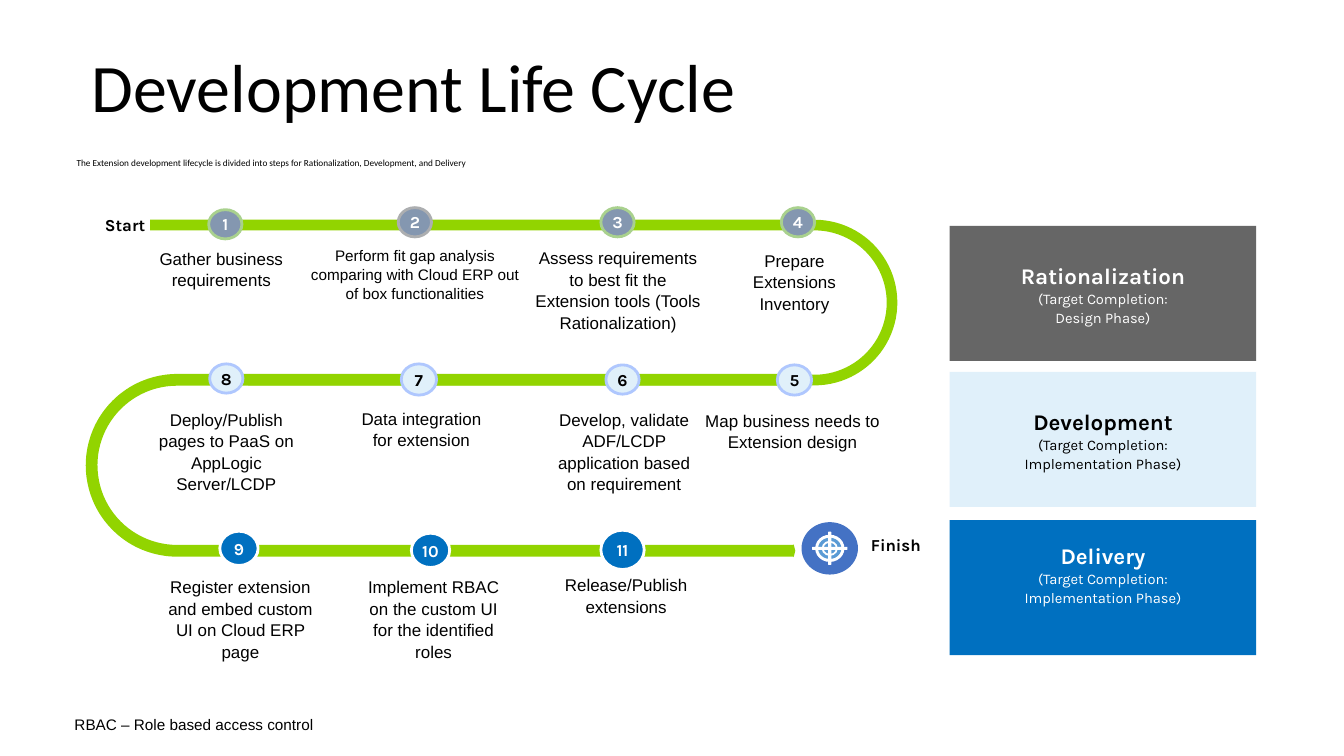
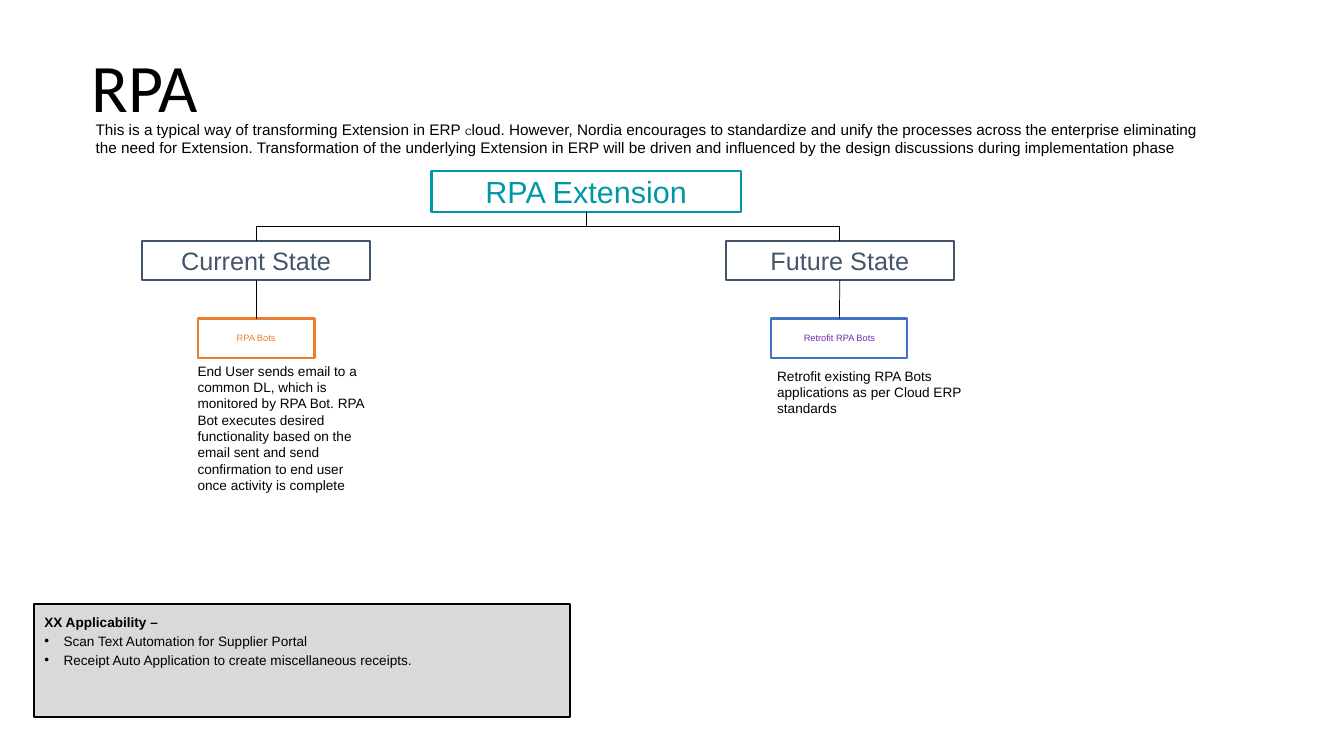
from dataclasses import dataclass, replace

import pptx
import pptx.util
from lxml import etree
from pptx.dml.color import RGBColor
from pptx.enum.shapes import MSO_CONNECTOR, MSO_SHAPE
from pptx.enum.text import MSO_ANCHOR, MSO_AUTO_SIZE, PP_ALIGN
from pptx.oxml.ns import qn
from pptx.util import Inches, Pt


@dataclass(frozen=True)
class TextStyle:
    font: str
    size: float
    color: str = "000000"
    bold: bool = False


class Theme:
    black, white, gray = "000000", "FFFFFF", "D9D9D9"
    road, pale, blue, dark = "92D400", "E0F0FA", "0070C0", "666666"
    slate, green, silver, lilac = "8497B0", "A9D18E", "ACAEB0", "AFC7FE"
    target, rings = "4472C4", "5B9BD5"
    teal, navy, orange, purple = "0097A9", "44546A", "ED7D31", "762BB3"
    title = TextStyle("Calibri", 48.5)
    subtitle = TextStyle("Calibri", 6.6)
    step = TextStyle("Arial", 12.1)
    body = TextStyle("Arial", 10.9)
    small = TextStyle("Arial", 9.7)
    label = TextStyle("Karla", 12, bold=True)
    panel = TextStyle("Karla", 16, bold=True)
    panel_detail = TextStyle("Karla", 10.5)
    root, state, leaf = 21.8, 18, 6.6


class Deck:
    def __init__(self):
        self.presentation = pptx.Presentation()
        self.presentation.slide_width = Inches(13.33)
        self.presentation.slide_height = Inches(7.5)
        self.slide = None

    def add_slide(self, title, width):
        layout = self.presentation.slide_layouts[1]
        self.slide = self.presentation.slides.add_slide(layout)
        shape = self.slide.shapes.title
        self.place(shape, (0.91, 0.44, width, 0.85))
        self.set_text(shape, [(title, Theme.title)], inset=(0, 0, 0, 0))

    def place(self, shape, box):
        shape.left, shape.top, shape.width, shape.height = map(Inches, box)

    def set_text(self, shape, lines, align=PP_ALIGN.LEFT, inset=(0.1, 0.05, 0.1, 0.05),
                 anchor=MSO_ANCHOR.TOP, spacing=1.0, gap=0, bullets_from=None, wrap=True):
        """Fill a shape with (text, style) paragraphs; inset is left, top, right, bottom."""
        frame = shape.text_frame
        frame.auto_size = MSO_AUTO_SIZE.NONE
        frame.word_wrap = wrap
        frame.vertical_anchor = anchor
        (frame.margin_left, frame.margin_top,
         frame.margin_right, frame.margin_bottom) = map(Inches, inset)
        for index, (text, style) in enumerate(lines):
            paragraph = frame.add_paragraph() if index else frame.paragraphs[0]
            paragraph.add_run().text = text
            if shape.is_placeholder:
                bulleted = bullets_from is not None and index >= bullets_from
                self.set_bullet(paragraph, bulleted)
            paragraph.alignment = align
            paragraph.line_spacing = spacing
            paragraph.space_before = Pt(gap if index else 0)
            paragraph.font.name = style.font
            paragraph.font.size = Pt(style.size)
            paragraph.font.bold = style.bold
            paragraph.font.color.rgb = RGBColor.from_string(style.color)

    def set_bullet(self, paragraph, bulleted):
        properties = paragraph._p.get_or_add_pPr()
        indent = Inches(0.19) if bulleted else 0
        properties.set("marL", str(indent))
        properties.set("indent", str(-indent))
        if bulleted:
            etree.SubElement(properties, qn("a:buChar")).set("char", "•")
        else:
            etree.SubElement(properties, qn("a:buNone"))

    def body(self, box, lines, **options):
        shape = self.slide.placeholders[1]
        self.place(shape, box)
        self.set_text(shape, lines, **options)
        return shape

    def text(self, box, text, style, **options):
        shape = self.slide.shapes.add_textbox(*map(Inches, box))
        self.set_text(shape, [(line, style) for line in text.split("\n")], **options)
        return shape

    def paint(self, shape, fill=None, line=None, width=1.5):
        if fill:
            shape.fill.solid()
            shape.fill.fore_color.rgb = RGBColor.from_string(fill)
        else:
            shape.fill.background()
        if line:
            shape.line.color.rgb = RGBColor.from_string(line)
            shape.line.width = Pt(width)
        else:
            shape.line.fill.background()

    def shape(self, kind, box, fill=None, line=None, width=1.5):
        shape = self.slide.shapes.add_shape(kind, *map(Inches, box))
        shape.shadow.inherit = False
        self.paint(shape, fill, line, width)
        return shape

    def road_bend(self, box, rotation, reach, flipped=False):
        """Draw one U-shaped stretch of the road."""
        bend = self.shape(MSO_SHAPE.U_TURN_ARROW, box, Theme.road)
        for index, value in enumerate((0.064, 0.036, 0.009, 0.498, reach)):
            bend.adjustments[index] = value
        bend.rotation = rotation
        if flipped:
            bend._element.spPr.find(qn("a:xfrm")).set("flipH", "1")

    def step(self, number, marker, colors, caption, box, style=Theme.step):
        fill, line, color = colors
        circle = self.shape(MSO_SHAPE.OVAL, marker, fill, line, 2)
        self.set_text(circle, [(str(number), replace(Theme.label, color=color))],
                      align=PP_ALIGN.CENTER, anchor=MSO_ANCHOR.MIDDLE,
                      inset=(0, 0, 0, 0), wrap=False)
        self.text(box, caption, style, align=PP_ALIGN.CENTER, spacing=1.06)

    def panel(self, top, heading, phase, fill, color, bottom=0.1):
        shape = self.shape(MSO_SHAPE.RECTANGLE, (9.42, top, 3.04, 1.34), fill)
        heading_style = replace(Theme.panel, color=color)
        detail_style = replace(Theme.panel_detail, color=color)
        self.set_text(shape, [(heading, heading_style),
                              ("(Target Completion:", detail_style),
                              (phase, detail_style)],
                      align=PP_ALIGN.CENTER, anchor=MSO_ANCHOR.MIDDLE,
                      inset=(0.1, 0.1, 0.1, bottom), spacing=1.06)

    def target(self, x, y):
        """Draw a crosshair target centred at x, y."""
        white, rings = Theme.white, Theme.rings
        layers = [(MSO_SHAPE.OVAL, 0.56, 0.52, Theme.target),
                  (MSO_SHAPE.OVAL, 0.29, 0.27, white),
                  (MSO_SHAPE.OVAL, 0.23, 0.21, rings),
                  (MSO_SHAPE.OVAL, 0.16, 0.15, white),
                  (MSO_SHAPE.OVAL, 0.12, 0.11, rings),
                  (MSO_SHAPE.ROUNDED_RECTANGLE, 0.35, 0.03, white),
                  (MSO_SHAPE.ROUNDED_RECTANGLE, 0.03, 0.33, white)]
        for kind, width, height, fill in layers:
            self.shape(kind, (x - width / 2, y - height / 2, width, height), fill)

    def node(self, box, text, size, line, color=None):
        shape = self.shape(MSO_SHAPE.RECTANGLE, box, line=line)
        self.set_text(shape, [(text, TextStyle("Arial", size, color or line))],
                      align=PP_ALIGN.CENTER, anchor=MSO_ANCHOR.MIDDLE,
                      inset=(0.1, 0.1, 0.1, 0.1))
        return shape

    def connect(self, parent, child, kind=MSO_CONNECTOR.STRAIGHT):
        """Join the bottom of parent to the top of child."""
        connector = self.slide.shapes.add_connector(kind, 0, 0, 0, 0)
        connector.begin_connect(parent, 2)
        connector.end_connect(child, 0)
        connector.line.color.rgb = RGBColor.from_string(Theme.black)
        connector.line.width = Pt(0.5)
        etree.SubElement(connector._element.spPr, qn("a:effectLst"))
        if kind == MSO_CONNECTOR.ELBOW:
            self.turn_downward(connector)

    def turn_downward(self, connector):
        """Rotate an elbow so that it leaves and arrives vertically."""
        across = connector.end_x - connector.begin_x
        drop = connector.end_y - connector.begin_y
        left = (connector.begin_x + connector.end_x - drop) // 2
        top = (connector.begin_y + connector.end_y - abs(across)) // 2
        frame = connector._element.spPr.find(qn("a:xfrm"))
        for name in ("flipH", "flipV"):
            frame.attrib.pop(name, None)
        connector.left, connector.top = left, top
        connector.width, connector.height = drop, abs(across)
        frame.set("rot", str((90 if across < 0 else 270) * 60000))
        if across > 0:
            frame.set("flipH", "1")


def build_life_cycle(deck):
    deck.add_slide("Development Life Cycle", 10.81)
    deck.body((0.66, 1.51, 12.12, 0.23), [(
        "The Extension development lifecycle is divided into steps for "
        "Rationalization, Development, and Delivery", Theme.subtitle)])
    deck.text((0.52, 2.08, 1.02, 0.3), "Start", Theme.label, align=PP_ALIGN.RIGHT)
    deck.road_bend((3.48, 1.08, 1.82, 7.08), 270, 0.994, flipped=True)
    deck.road_bend((4.37, -0.7, 1.65, 7.41), 90, 0.87)

    rationalize = (Theme.slate, Theme.green, Theme.white)
    analyze = (Theme.slate, Theme.silver, Theme.white)
    develop = (Theme.pale, Theme.lilac, Theme.black)
    deliver = (Theme.blue, Theme.white, Theme.white)
    steps = [
        ((2.07, 2.08, 0.33, 0.29), rationalize,
         "Gather business\nrequirements", (1.07, 2.4, 2.25, 0.52)),
        ((3.95, 2.06, 0.33, 0.29), analyze,
         "Perform fit gap analysis comparing with Cloud ERP out of box functionalities",
         (2.94, 2.38, 2.35, 0.67), Theme.body),
        ((5.96, 2.06, 0.33, 0.29), rationalize,
         "Assess requirements to best fit the Extension tools (Tools Rationalization)",
         (5.21, 2.4, 1.84, 1.17)),
        ((7.75, 2.06, 0.33, 0.29), rationalize,
         "Prepare Extensions Inventory", (7.11, 2.42, 1.54, 0.73)),
        ((7.71, 3.62, 0.34, 0.3), develop,
         "Map business needs to Extension design", (6.75, 4.01, 2.22, 0.52)),
        ((6.01, 3.62, 0.33, 0.29), develop,
         "Develop, validate ADF/LCDP application based on requirement",
         (5.35, 4, 1.68, 0.95)),
        ((3.98, 3.61, 0.35, 0.31), develop,
         "Data integration for extension", (3.43, 3.99, 1.5, 0.52)),
        ((2.08, 3.61, 0.33, 0.29), develop,
         "Deploy/Publish pages to PaaS on AppLogic Server/LCDP", (1.4, 4, 1.69, 0.95)),
        ((2.18, 5.27, 0.38, 0.34), deliver,
         "Register extension and embed custom UI on Cloud ERP page",
         (1.53, 5.66, 1.71, 0.95)),
        ((4.08, 5.29, 0.38, 0.34), deliver,
         "Implement RBAC on the custom UI for the identified roles",
         (3.49, 5.66, 1.62, 0.95)),
        ((5.96, 5.26, 0.43, 0.39), deliver,
         "Release/Publish extensions", (5.42, 5.64, 1.58, 0.52)),
    ]
    for number, step in enumerate(steps, 1):
        deck.step(number, *step)
    deck.target(8.23, 5.44)
    deck.text((8.34, 5.26, 1.09, 0.3), "Finish", Theme.label, align=PP_ALIGN.CENTER)

    deck.panel(2.24, "Rationalization", "Design Phase)", Theme.dark, Theme.white)
    deck.panel(3.69, "Development", "Implementation Phase)", Theme.pale, Theme.black)
    deck.panel(5.16, "Delivery", "Implementation Phase)", Theme.blue, Theme.white, 0.38)
    deck.text((0.64, 7.05, 6.68, 0.28), "RBAC – Role based access control", Theme.body)


def build_rpa(deck):
    deck.add_slide("RPA", 11.32)
    root = deck.node((4.28, 1.7, 3.07, 0.4), "RPA Extension", Theme.root, Theme.teal)
    current = deck.node((1.41, 2.39, 2.26, 0.39), "Current State", Theme.state, Theme.navy)
    future = deck.node((7.2, 2.39, 2.26, 0.39), "Future State", Theme.state, Theme.navy)
    bots = deck.node((1.96, 3.16, 1.16, 0.39), "RPA Bots", Theme.leaf, Theme.orange)
    retrofit = deck.node((7.65, 3.16, 1.35, 0.39), "Retrofit RPA Bots",
                         Theme.leaf, Theme.target, Theme.purple)
    for state, leaf in ((current, bots), (future, retrofit)):
        deck.connect(root, state, MSO_CONNECTOR.ELBOW)
        deck.connect(state, leaf)

    deck.text((1.96, 3.6, 1.7, 1.31),
              "End User sends email to a common DL, which is monitored by RPA Bot. "
              "RPA Bot executes desired functionality based on the email sent and send "
              "confirmation to end user once activity is complete",
              Theme.small, inset=(0, 0, 0, 0))
    deck.text((7.61, 3.6, 2.16, 0.59),
              "Retrofit existing RPA Bots applications as per Cloud ERP standards",
              Theme.small)
    applicability = deck.body((0.34, 5.99, 5.31, 1.12), [
        ("XX Applicability –", replace(Theme.small, bold=True)),
        ("Scan Text Automation for Supplier Portal", Theme.small),
        ("Receipt Auto Application to create miscellaneous receipts.", Theme.small),
    ], inset=(0.1, 0.1, 0.1, 0.1), gap=2, bullets_from=1)
    deck.paint(applicability, Theme.gray, Theme.black)

    introduction = deck.text((0.85, 1.14, 11.21, 0.47),
                             "This is a typical way of transforming Extension in ERP ",
                             Theme.body)
    paragraph = introduction.text_frame.paragraphs[0]
    small_capital = paragraph.add_run()
    small_capital.text = "C"
    small_capital.font.size = Pt(Theme.leaf)
    paragraph.add_run().text = (
        "loud. However, Nordia encourages to standardize and unify the processes across "
        "the enterprise eliminating the need for Extension. Transformation of the "
        "underlying Extension in ERP will be driven and influenced by the design "
        "discussions during implementation phase")


def main():
    deck = Deck()
    build_life_cycle(deck)
    build_rpa(deck)
    deck.presentation.save("out.pptx")


if __name__ == "__main__":
    main()
